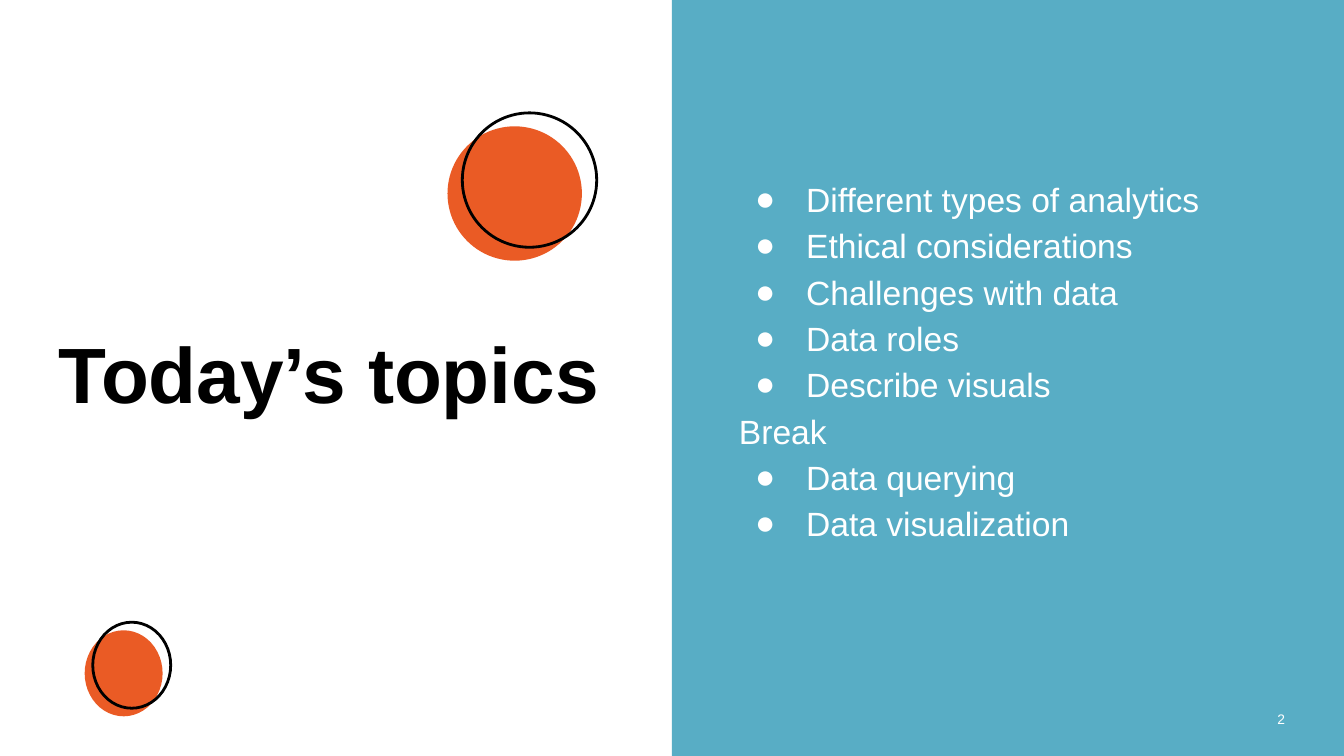
from lxml import etree
from pptx import Presentation
from pptx.dml.color import RGBColor
from pptx.enum.shapes import MSO_SHAPE
from pptx.enum.text import MSO_ANCHOR, PP_ALIGN
from pptx.oxml.ns import qn
from pptx.util import Inches, Pt

COLORS = {"panel": "58ADC5", "accent": "EA5B25", "ink": "000000", "light": "FFFFFF"}
FONT = "Arial"
WIDTH = 10
HEIGHT = WIDTH * 9 / 16
TOPICS = [
    "Different types of analytics",
    "Ethical considerations",
    "Challenges with data",
    "Data roles",
    "Describe visuals",
]
BREAK = "Break"
LATER_TOPICS = ["Data querying", "Data visualization"]


def color(name):
    return RGBColor.from_string(COLORS[name])


def add_shape(page, kind, left, top, width, height, fill=None, line=None):
    shape = page.shapes.add_shape(
        kind, Inches(left), Inches(top), Inches(width), Inches(height)
    )
    shape.shadow.inherit = False
    if fill:
        shape.fill.solid()
        shape.fill.fore_color.rgb = color(fill)
    else:
        shape.fill.background()
    if line:
        shape.line.color.rgb = color(line)
        shape.line.width = Pt(1.5)
    else:
        shape.line.fill.background()


def add_circle_pair(page, left, top, width, height, shift_x, shift_y):
    add_shape(page, MSO_SHAPE.OVAL, left, top, width, height, fill="accent")
    add_shape(page, MSO_SHAPE.OVAL, left + shift_x, top - shift_y, width, height, line="ink")


def add_box(page, left, top, width, height, anchor):
    box = page.shapes.add_textbox(
        Inches(left), Inches(top), Inches(width), Inches(height)
    )
    frame = box.text_frame
    frame.word_wrap = True
    frame.vertical_anchor = anchor
    frame.margin_left = frame.margin_right = Inches(0.1)
    frame.margin_top = frame.margin_bottom = Inches(0.1)
    return frame


def write(para, text, size, ink="light", bold=False, align=PP_ALIGN.LEFT, spacing=1.0):
    para.alignment = align
    para.line_spacing = spacing
    span = para.add_run()
    span.text = text
    span.font.name = FONT
    span.font.size = Pt(size)
    span.font.bold = bold
    span.font.color.rgb = color(ink)


def add_bullet(para):
    properties = para._p.get_or_add_pPr()
    properties.set("marL", str(Inches(0.5)))
    properties.set("indent", str(Inches(-0.38)))
    bullet_color = etree.SubElement(properties, qn("a:buClr"))
    etree.SubElement(bullet_color, qn("a:srgbClr"), val=COLORS["light"])
    etree.SubElement(properties, qn("a:buFont"), typeface=FONT)
    etree.SubElement(properties, qn("a:buChar"), char="●")


def add_topics(page):
    frame = add_box(page, 5.4, 0.38, 3.74, 4.57, MSO_ANCHOR.MIDDLE)
    for index, text in enumerate([*TOPICS, BREAK, *LATER_TOPICS]):
        para = frame.add_paragraph() if index else frame.paragraphs[0]
        write(para, text, 18, spacing=1.15)
        if text != BREAK:
            add_bullet(para)


def main():
    deck = Presentation()
    deck.slide_width = Inches(WIDTH)
    deck.slide_height = Inches(HEIGHT)
    page = deck.slides.add_slide(deck.slide_layouts[6])
    page.background.fill.solid()
    page.background.fill.fore_color.rgb = color("light")

    add_shape(page, MSO_SHAPE.RECTANGLE, WIDTH / 2, 0, WIDTH / 2, HEIGHT, fill="panel")
    title = add_box(page, 0.34, 0.74, 4.37, 2.48, MSO_ANCHOR.BOTTOM)
    write(title.paragraphs[0], "Today’s topics", 42, ink="ink", bold=True)
    number = add_box(page, 9.26, 5.21, 0.4, 0.3, MSO_ANCHOR.MIDDLE)
    write(number.paragraphs[0], "2", 7.4, align=PP_ALIGN.RIGHT, spacing=0.8)
    add_topics(page)
    add_circle_pair(page, 3.33, 0.94, 1, 1, 0.11, 0.1)
    add_circle_pair(page, 0.63, 4.69, 0.58, 0.64, 0.06, 0.06)

    deck.save("out.pptx")


if __name__ == "__main__":
    main()
